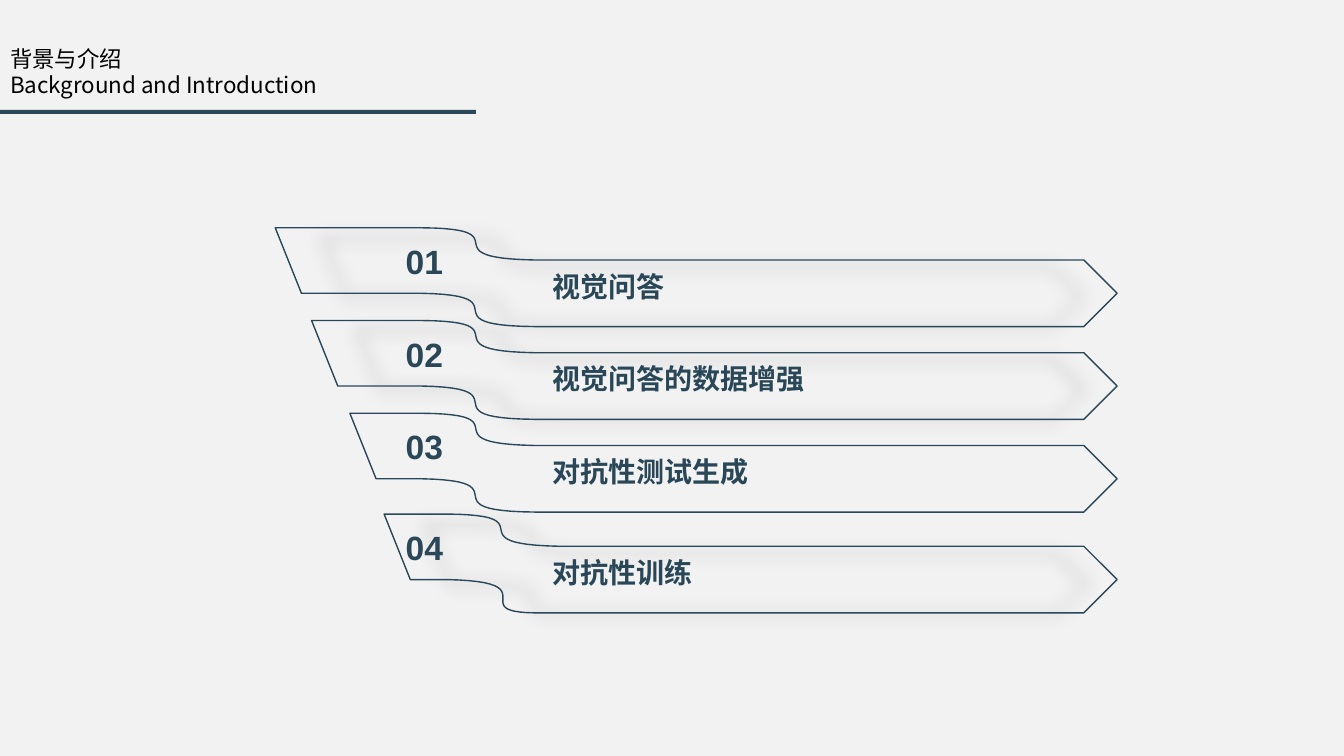
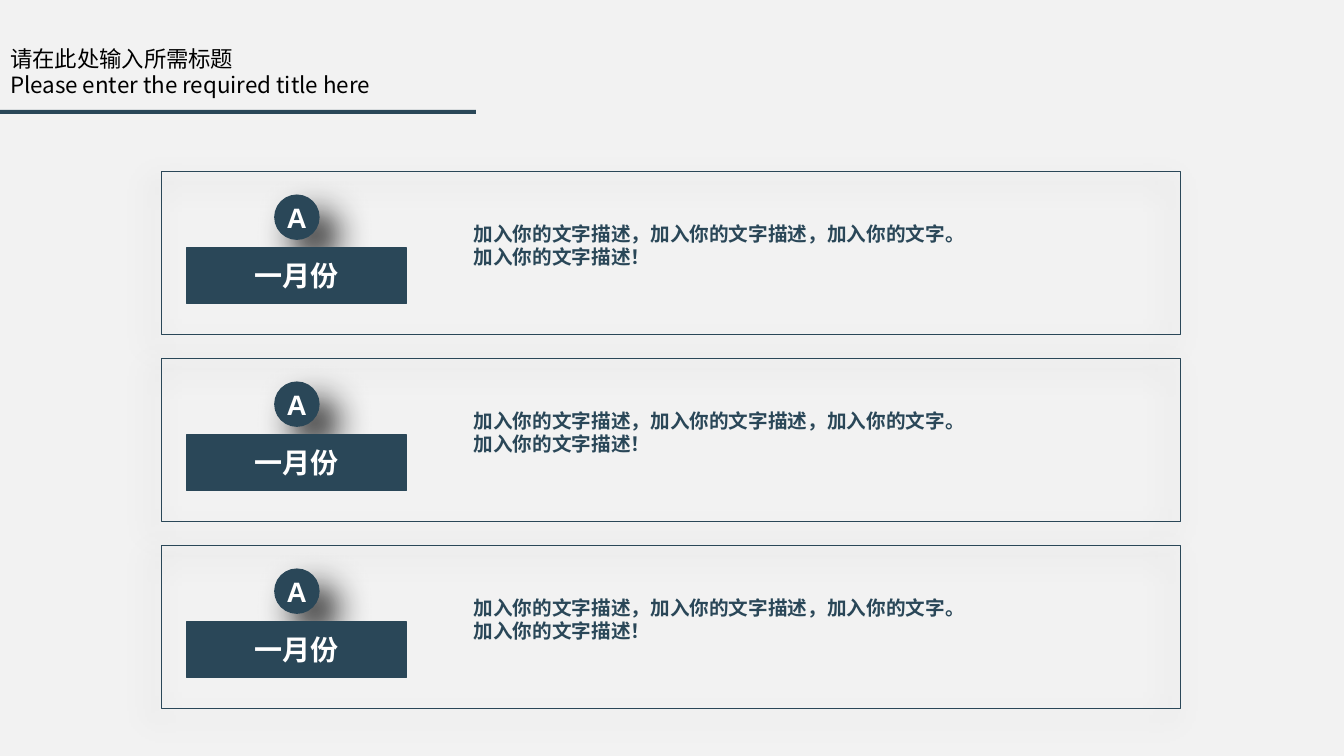
from lxml import etree
from pptx import Presentation
from pptx.dml.color import RGBColor
from pptx.enum.shapes import MSO_SHAPE
from pptx.enum.text import MSO_ANCHOR, PP_ALIGN
from pptx.oxml.ns import qn
from pptx.util import Inches, Pt

RECT, OVAL = MSO_SHAPE.RECTANGLE, MSO_SHAPE.OVAL
TOP, MIDDLE = MSO_ANCHOR.TOP, MSO_ANCHOR.MIDDLE
LEFT, CENTER = PP_ALIGN.LEFT, PP_ALIGN.CENTER

NAVY, PALE, BLACK, WHITE = "2A4758", "F2F2F2", "000000", "FFFFFF"
SANS, LATIN = "Noto Sans CJK SC", "Arial"

# Shadows: opacity %, blur pt, distance pt, angle, scale %
SOFT = (50, 12, 5, 45, 90)
WIDE = (34, 20, 10, 136, 100)
DEEP = (89, 26, 18, 45, 100)

AGENDA_TITLE = ["背景与介绍", "Background and Introduction"]
# Label, left, top, shift of the bend, shadow
AGENDA = [
    ("视觉问答", 2.73, 2.26, 0, SOFT),
    ("视觉问答的数据增强", 3.09, 3.18, 0, SOFT),
    ("对抗性测试生成", 3.47, 4.1, 0, None),
    ("对抗性训练", 3.81, 5.1, 0.25, SOFT),
]
MONTHS_TITLE = ["请在此处输入所需标题", "Please enter the required title here"]
NOTE = ["加入你的文字描述，加入你的文字描述，加入你的文字。", "加入你的文字描述！"]
MONTHS = [("A", "一月份", NOTE)] * 3
CARD_TOP, CARD_STEP = 1.7, 1.855


def color(code):
    return RGBColor.from_string(code)


def place(shape, left, top, width, height):
    shape.left, shape.top = Inches(left), Inches(top)
    shape.width, shape.height = Inches(width), Inches(height)


def write(shape, lines, size, ink, font=SANS, bold=True, align=LEFT,
          anchor=TOP, pad=(0.1, 0), spacing=None):
    frame = shape.text_frame
    frame.text = "\n".join(lines)
    frame.word_wrap = True
    frame.vertical_anchor = anchor
    frame.margin_left = frame.margin_right = Inches(pad[0])
    frame.margin_top = frame.margin_bottom = Inches(pad[1])
    for para in frame.paragraphs:
        para.alignment = align
        para.line_spacing = spacing
        for run in para.runs:
            run.font.size, run.font.bold, run.font.name = Pt(size), bold, font
            run.font.color.rgb = color(ink)
            east = etree.SubElement(run._r.get_or_add_rPr(), qn("a:ea"))
            east.set("typeface", font)


def paint(shape, fill=None, line=None, shadow=None):
    if fill:
        shape.fill.solid()
        shape.fill.fore_color.rgb = color(fill)
    else:
        shape.fill.background()
    if line:
        shape.line.color.rgb = color(NAVY)
        shape.line.width = Pt(line)
    else:
        shape.line.fill.background()
    shape.shadow.inherit = False
    if shadow:
        alpha, blur, dist, angle, scale = shadow
        effects = shape._element.spPr.find(qn("a:effectLst"))
        outer = etree.SubElement(
            effects, qn("a:outerShdw"), blurRad=str(Pt(blur)),
            dist=str(Pt(dist)), dir=str(angle * 60000), sx=str(scale * 1000),
            sy=str(scale * 1000), algn="ctr", rotWithShape="0")
        tone = etree.SubElement(outer, qn("a:srgbClr"), val=BLACK)
        etree.SubElement(tone, qn("a:alpha"), val=str(alpha * 1000))


def block(slide, kind, box, **look):
    shape = slide.shapes.add_shape(kind, *map(Inches, box))
    paint(shape, **look)
    return shape


def label(slide, box, lines, size, ink, **style):
    write(slide.shapes.add_textbox(*map(Inches, box)), lines, size, ink, **style)


def curve(a, b, c, d, steps=24):
    """Points of the cubic Bezier from a to d with controls b and c."""
    points = []
    for i in range(steps + 1):
        t = i / steps
        u = 1 - t
        points.append(tuple(
            u**3 * p + 3 * u * u * t * q + 3 * u * t * t * r + t**3 * s
            for p, q, r, s in zip(a, b, c, d)))
    return points


def ribbon(slide, left, top, bend, shadow):
    upper = curve((4.19 + bend, 0), (5.21 + bend, 0.01),
                  (4.21 + bend, 0.3), (5.31 + bend, 0.32))
    lower = curve((5.3, 0.98), (4.2 + 1.6 * bend, 0.97),
                  (5.21 + bend, 0.67), (4.18 + bend, 0.65))
    points = [(left, 0), *upper, (10.75, 0.32), (11.08, 0.65), (10.75, 0.98),
              *lower, (left + 0.26, 0.65)]
    points = [(Inches(x), Inches(y + top)) for x, y in points]
    path = slide.shapes.build_freeform(*points[0])
    path.add_line_segments(points[1:], close=True)
    paint(path.convert_to_shape(), line=1, shadow=shadow)


def start(deck, layout, title):
    """Add a slide with its title and the rule below it."""
    slide = deck.slides.add_slide(layout)
    write(slide.shapes.title, title, 16, BLACK, bold=False, pad=(0.1, 0.05),
          spacing=Pt(18.7))
    block(slide, RECT, (0, 1.09, 4.72, 0.04), fill=NAVY)
    return slide


def agenda(deck, layout):
    slide = start(deck, layout, AGENDA_TITLE)
    for num, (text, left, top, bend, shadow) in enumerate(AGENDA, 1):
        ribbon(slide, left, top, bend, shadow)
        label(slide, (3.88, top + 0.08, 0.66, 0.51), [f"{num:02}"], 24, NAVY,
              font=LATIN, align=CENTER, pad=(0.1, 0.05))
        label(slide, (5.38, top + 0.41, 3.42, 0.28), [text], 20, NAVY)


def months(deck, layout):
    slide = start(deck, layout, MONTHS_TITLE)
    for row, (mark, month, note) in enumerate(MONTHS):
        top = CARD_TOP + row * CARD_STEP
        block(slide, RECT, (1.6, top, 10.11, 1.62), line=1, shadow=WIDE)
        badge = block(slide, OVAL, (2.73, top + 0.24, 0.43, 0.43),
                      fill=NAVY, line=1.5, shadow=DEEP)
        write(badge, [mark], 20, WHITE, font=LATIN, align=CENTER,
              anchor=MIDDLE, pad=(0, 0))
        tab = block(slide, RECT, (1.85, top + 0.76, 2.18, 0.55), fill=NAVY, line=1)
        write(tab, [month], 20, WHITE, align=CENTER, anchor=MIDDLE)
        label(slide, (4.6, top + 0.5, 6.73, 0.79), note, 14, NAVY)


def theme(deck):
    """Set the shared background and title place; return the layout."""
    back = deck.slide_master.background.fill
    back.solid()
    back.fore_color.rgb = color(PALE)
    layout = deck.slide_layouts.get_by_name("Title Only")
    place(layout.placeholders[0], 0, 0.4, 4.33, 0.62)
    return layout


def main():
    deck = Presentation()
    deck.slide_width, deck.slide_height = Inches(13.33), Inches(7.5)
    layout = theme(deck)
    agenda(deck, layout)
    months(deck, layout)
    deck.save("out.pptx")


if __name__ == "__main__":
    main()
